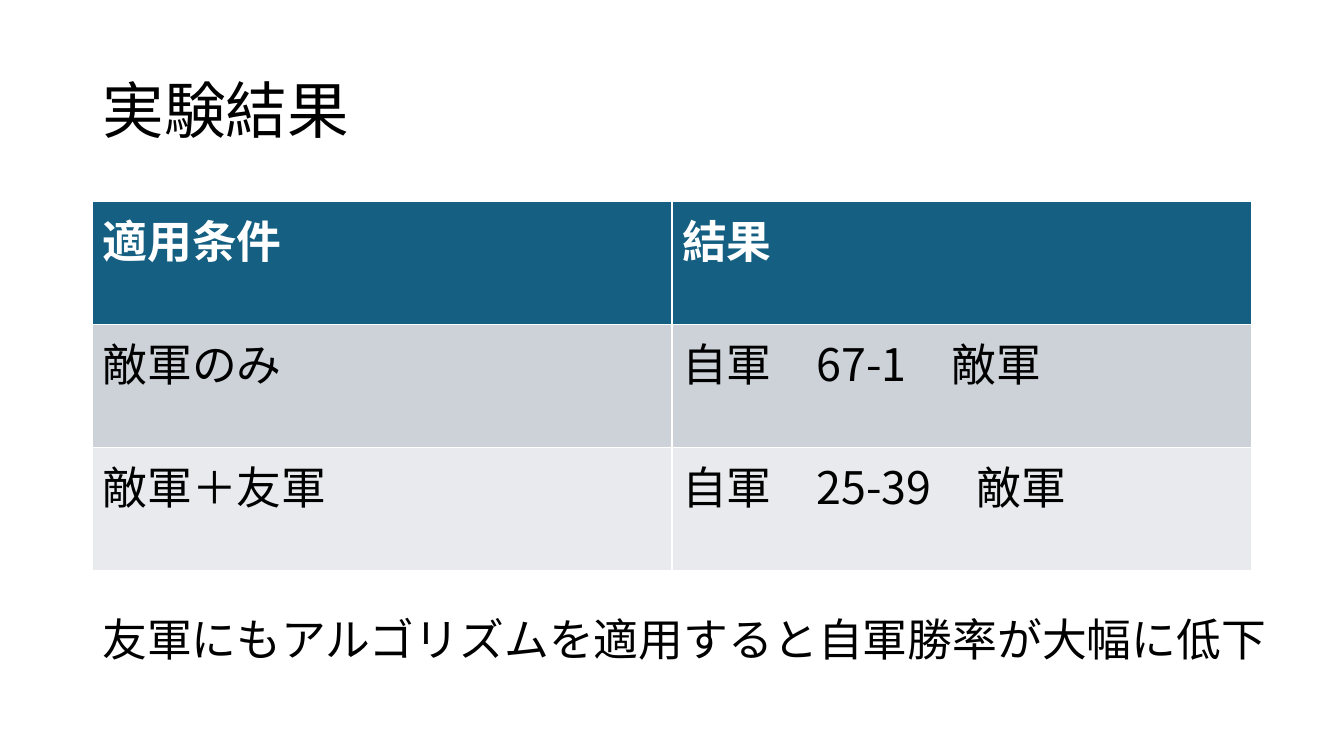
import pptx
import pptx.dml.color
import pptx.enum.text
import pptx.oxml.ns
import pptx.util
from pptx.util import Pt

FONT = "Noto Sans CJK JP"
BLACK, WHITE = "000000", "FFFFFF"
LEFT, CONTENT_WIDTH = 66, 828
ROWS = [
    ("適用条件", "結果"),
    ("敵軍のみ", "自軍　67-1　敵軍"),
    ("敵軍＋友軍", "自軍　25-39　敵軍"),
]
ROW_FILLS = ["156082", "CCD2D8", "E8EAED"]


def color(hex_string):
    return pptx.dml.color.RGBColor.from_string(hex_string)


def write(text_frame, text, size, hex_string, bold=False):
    """Set one left-aligned paragraph, with the font for Latin and East Asian text."""
    text_frame.text = text
    para = text_frame.paragraphs[0]
    para.alignment = pptx.enum.text.PP_ALIGN.LEFT
    for run in para.runs:
        run.font.name = FONT
        run.font.size = Pt(size)
        run.font.bold = bold
        run.font.color.rgb = color(hex_string)
        properties = run.font._element
        east_asian = properties.makeelement(pptx.oxml.ns.qn("a:ea"), {"typeface": FONT})
        properties.append(east_asian)
    return para


def add_title(slide, left, top, width, height):
    title = slide.shapes.title
    title.left, title.top = Pt(left), Pt(top)
    title.width, title.height = Pt(width), Pt(height)
    title.text_frame.vertical_anchor = pptx.enum.text.MSO_ANCHOR.MIDDLE
    write(title.text_frame, "実験結果", 44, BLACK).line_spacing = 0.9


def add_results_table(slide, left, top, width, height):
    frame = slide.shapes.add_table(
        len(ROWS), len(ROWS[0]), Pt(left), Pt(top), Pt(width), Pt(height)
    )
    for row_index, (texts, fill) in enumerate(zip(ROWS, ROW_FILLS)):
        is_header = row_index == 0
        for column_index, text in enumerate(texts):
            cell = frame.table.cell(row_index, column_index)
            cell.fill.solid()
            cell.fill.fore_color.rgb = color(fill)
            write(cell.text_frame, text, 32, WHITE if is_header else BLACK, is_header)


def add_conclusion(slide, left, top, width, height):
    box = slide.shapes.add_textbox(Pt(left), Pt(top), Pt(width), Pt(height))
    box.text_frame.word_wrap = True
    write(box.text_frame, "友軍にもアルゴリズムを適用すると自軍勝率が大幅に低下", 32, BLACK)


def main():
    deck = pptx.Presentation()
    deck.slide_width, deck.slide_height = Pt(960), Pt(540)
    slide = deck.slides.add_slide(deck.slide_layouts.get_by_name("Title Only"))
    add_title(slide, LEFT, 28.8, CONTENT_WIDTH, 104.4)
    add_results_table(slide, LEFT, 144, CONTENT_WIDTH, 263.5)
    add_conclusion(slide, LEFT, 433.5, 867, 46)
    deck.save("out.pptx")


if __name__ == "__main__":
    main()
